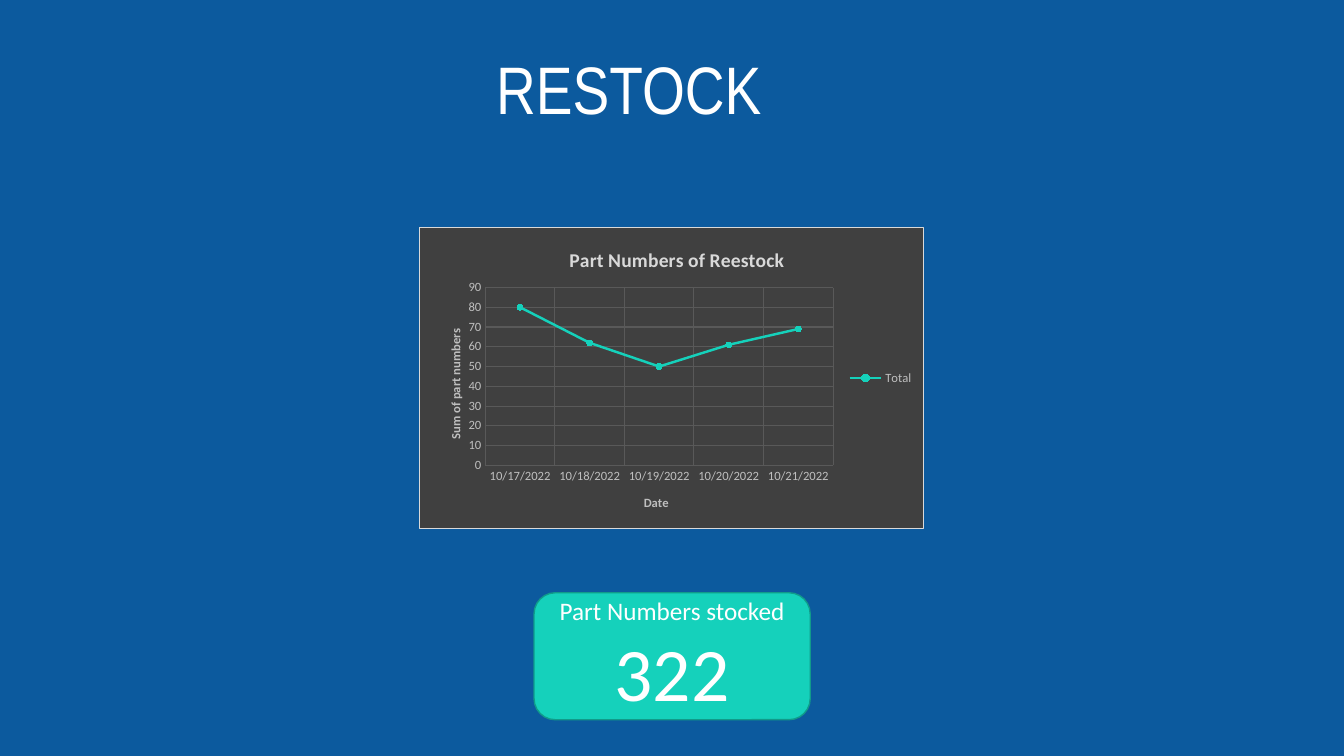
"""Build the restock slide: a heading, a line chart and a total card."""
from dataclasses import dataclass

from lxml import etree
from pptx import Presentation
from pptx.chart.data import CategoryChartData
from pptx.dml.color import RGBColor
from pptx.enum.chart import XL_CHART_TYPE, XL_LEGEND_POSITION, XL_MARKER_STYLE, XL_TICK_MARK
from pptx.enum.shapes import MSO_SHAPE
from pptx.enum.text import MSO_ANCHOR, PP_ALIGN
from pptx.util import Pt

LINE_MARKERS = XL_CHART_TYPE.LINE_MARKERS
LEGEND_RIGHT = XL_LEGEND_POSITION.RIGHT
CIRCLE = XL_MARKER_STYLE.CIRCLE
NO_TICK = XL_TICK_MARK.NONE
ROUNDED = MSO_SHAPE.ROUNDED_RECTANGLE
MIDDLE, BOTTOM = MSO_ANCHOR.MIDDLE, MSO_ANCHOR.BOTTOM
CENTER = PP_ALIGN.CENTER
CHART_NS = "http://schemas.openxmlformats.org/drawingml/2006/chart"
DRAWING_NS = "http://schemas.openxmlformats.org/drawingml/2006/main"

HEADING = "RESTOCK"
CARD_LABEL, CARD_TOTAL = "Part Numbers stocked", "322"
CHART_TITLE = "Part Numbers of Reestock"
DATE_TITLE, SUM_TITLE = "Date", "Sum of part numbers"
DAYS = [f"10/{day}/2022" for day in range(17, 22)]
SERIES_NAME, PARTS = "Total", (80, 62, 50, 61, 69)

SLIDE_SIZE = (960, 540)
HEADING_BOX = (167, 26, 564.5, 70)
CHART_BOX = (299.5, 162, 360.7, 216)
CARD_BOX = (381.5, 423.4, 197.3, 90.7)
PLOT_PLACE = {"x": 0.13, "y": 0.2, "w": 0.69, "h": 0.59}
TITLE_PLACE = {"x": 0.29, "y": 0.05}
DATE_PLACE = {"x": 0.44, "y": 0.88}
SUM_PLACE = {"x": 0.05, "y": 0.33}


@dataclass(frozen=True)
class Theme:
    blue: str = "0C5A9E"
    teal: str = "15D1BB"
    teal_edge: str = "109B8A"
    white: str = "FFFFFF"
    panel: str = "404040"
    grid: str = "595959"
    border: str = "D9D9D9"
    label: str = "BFBFBF"
    heading_font: str = "Arial Narrow"
    body_font: str = "Calibri"
    heading_size: int = 48
    total_size: int = 54
    card_size: int = 18
    chart_title_size: int = 14
    label_size: int = 9


THEME = Theme()


def points(values):
    return [Pt(value) for value in values]


def color(value):
    return RGBColor.from_string(value)


def style_font(font, size, tint, name=THEME.body_font, bold=False):
    font.size, font.name, font.bold = Pt(size), name, bold
    font.color.rgb = color(tint)


def style_line(line, tint, width=0.75):
    line.color.rgb = color(tint)
    line.width = Pt(width)


def add_span(para, text, size, name=THEME.body_font):
    para.alignment = CENTER
    span = para.add_run()
    span.text = text
    style_font(span.font, size, THEME.white, name)


def place(parent, position, index, inner=False):
    for old in parent.findall(f"{{{CHART_NS}}}layout"):
        parent.remove(old)
    layout = etree.Element(f"{{{CHART_NS}}}layout")
    manual = etree.SubElement(layout, f"{{{CHART_NS}}}manualLayout")
    settings = {"layoutTarget": "inner"} if inner else {}
    settings.update({"xMode": "edge", "yMode": "edge"}, **position)
    for tag, value in settings.items():
        etree.SubElement(manual, f"{{{CHART_NS}}}{tag}", val=str(value))
    parent.insert(index, layout)


def write_title(title, text, size, tint, position):
    span = title.text_frame.paragraphs[0].add_run()
    span.text = text
    style_font(span.font, size, tint, bold=True)
    place(title.element, position, 1)


def fill_panel(chart):
    panel = etree.fromstring(
        f'<c:spPr xmlns:c="{CHART_NS}" xmlns:a="{DRAWING_NS}">'
        f'<a:solidFill><a:srgbClr val="{THEME.panel}"/></a:solidFill>'
        f'<a:ln w="{Pt(0.75)}"><a:solidFill><a:srgbClr val="{THEME.border}"/>'
        "</a:solidFill></a:ln></c:spPr>")
    chart.element.find(f"{{{CHART_NS}}}chart").addnext(panel)


def style_axis(axis, title, position):
    axis.has_major_gridlines = True
    style_line(axis.major_gridlines.format.line, THEME.grid)
    axis.major_tick_mark = axis.minor_tick_mark = NO_TICK
    axis.format.line.fill.background()
    style_font(axis.tick_labels.font, THEME.label_size, THEME.label)
    write_title(axis.axis_title, title, THEME.label_size, THEME.label, position)


def add_heading(page):
    box = page.shapes.add_textbox(*points(HEADING_BOX))
    frame = box.text_frame
    frame.word_wrap = True
    frame.vertical_anchor = BOTTOM
    frame.margin_left = frame.margin_right = 0
    para = frame.paragraphs[0]
    para.line_spacing = 0.9
    add_span(para, HEADING, THEME.heading_size, THEME.heading_font)


def add_restock_chart(page):
    data = CategoryChartData()
    data.categories = DAYS
    data.add_series(SERIES_NAME, PARTS)
    chart = page.shapes.add_chart(LINE_MARKERS, *points(CHART_BOX), data).chart
    style_font(chart.font, THEME.label_size, THEME.label)
    fill_panel(chart)
    chart.has_title = True
    write_title(chart.chart_title, CHART_TITLE, THEME.chart_title_size,
                THEME.border, TITLE_PLACE)
    style_axis(chart.category_axis, DATE_TITLE, DATE_PLACE)
    style_axis(chart.value_axis, SUM_TITLE, SUM_PLACE)
    chart.value_axis.minimum_scale, chart.value_axis.maximum_scale = 0, 90
    chart.value_axis.major_unit = 10
    place(chart.element.find(f".//{{{CHART_NS}}}plotArea"), PLOT_PLACE, 0, inner=True)
    chart.has_legend = True
    chart.legend.position = LEGEND_RIGHT
    chart.legend.include_in_layout = False
    style_font(chart.legend.font, THEME.label_size, THEME.label)
    plot = chart.plots[0]
    plot.vary_by_categories = False
    total = plot.series[0]
    total.smooth = False
    style_line(total.format.line, THEME.teal, 1.75)
    total.marker.style, total.marker.size = CIRCLE, 4
    total.marker.format.fill.solid()
    total.marker.format.fill.fore_color.rgb = color(THEME.teal)
    style_line(total.marker.format.line, THEME.teal)


def add_total_card(page):
    card = page.shapes.add_shape(ROUNDED, *points(CARD_BOX))
    card.shadow.inherit = False
    card.fill.solid()
    card.fill.fore_color.rgb = color(THEME.teal)
    style_line(card.line, THEME.teal_edge, 1)
    frame = card.text_frame
    frame.word_wrap = True
    frame.vertical_anchor = MIDDLE
    add_span(frame.paragraphs[0], CARD_LABEL, THEME.card_size)
    add_span(frame.add_paragraph(), CARD_TOTAL, THEME.total_size)


def main():
    deck = Presentation()
    deck.slide_width, deck.slide_height = points(SLIDE_SIZE)
    page = deck.slides.add_slide(deck.slide_layouts[6])
    page.background.fill.solid()
    page.background.fill.fore_color.rgb = color(THEME.blue)
    add_heading(page)
    add_total_card(page)
    add_restock_chart(page)
    deck.save("out.pptx")


if __name__ == "__main__":
    main()
